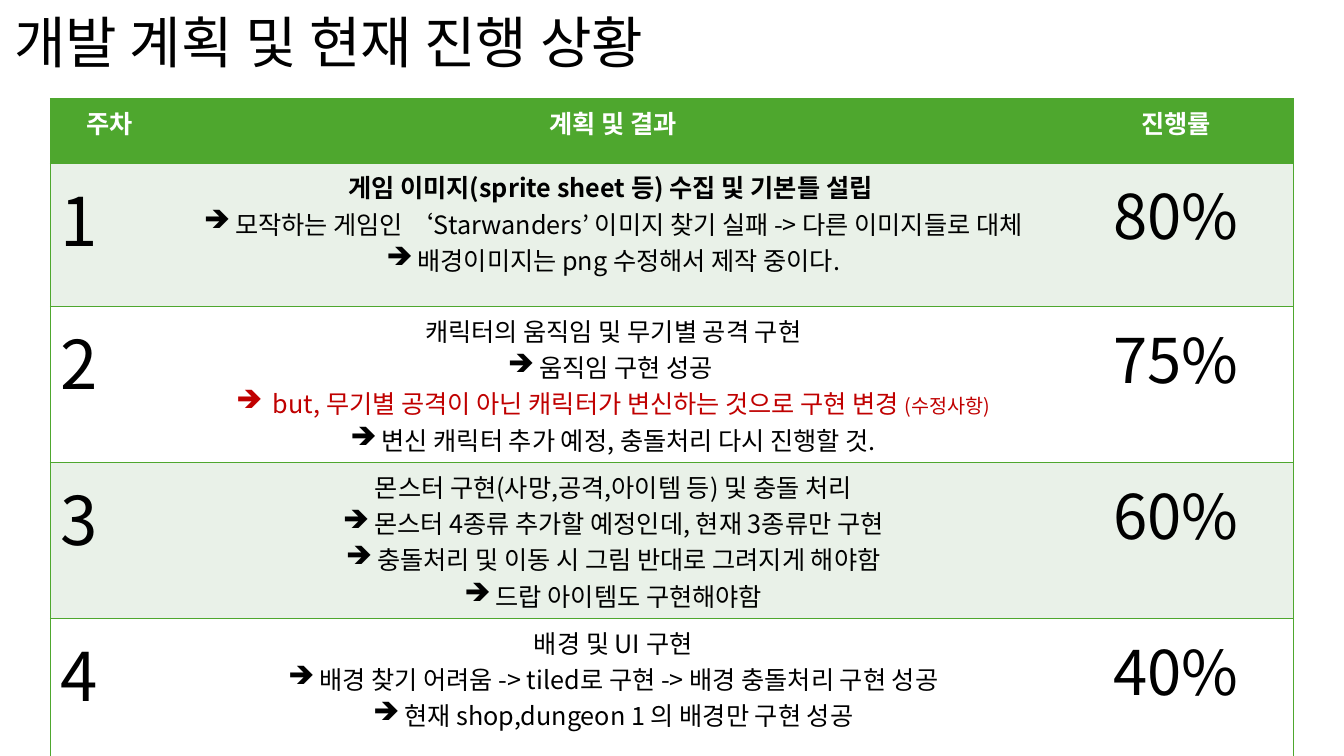
from lxml import etree
from pptx import Presentation
from pptx.dml.color import RGBColor
from pptx.enum.text import MSO_ANCHOR, PP_ALIGN
from pptx.oxml.ns import qn
from pptx.util import Inches, Pt

LEFT, CENTER, JUSTIFY = PP_ALIGN.LEFT, PP_ALIGN.CENTER, PP_ALIGN.JUSTIFY
MIDDLE = MSO_ANCHOR.MIDDLE
COLORS = {"black": "000000", "white": "FFFFFF", "green": "4EA72E", "band": "E9F1E8", "red": "C00000"}
FONT = "Noto Sans CJK KR"
GRID_COLUMNS, GRID_ROWS = 80, 45

HEADERS = ["주차", "계획 및 결과", "진행률"]
WEEKS = [
    (["게임 이미지(sprite sheet 등) 수집 및 기본틀 설립 ",
      "모작하는 게임인 ‘Starwanders’ 이미지 찾기 실패 -> 다른 이미지들로 대체",
      "배경이미지는 png 수정해서 제작 중이다."], "80%"),
    (["캐릭터의 움직임 및 무기별 공격 구현",
      "움직임 구현 성공 ",
      [(" but, 무기별 공격이 아닌 캐릭터가 변신하는 것으로 구현 변경 ", 18), ("(수정사항)", 14)],
      "변신 캐릭터 추가 예정, 충돌처리 다시 진행할 것."], "75%"),
    (["몬스터 구현(사망,공격,아이템 등) 및 충돌 처리",
      "몬스터 4종류 추가할 예정인데, 현재 3종류만 구현",
      "충돌처리 및 이동 시 그림 반대로 그려지게 해야함",
      "드랍 아이템도 구현해야함"], "60%"),
    (["배경 및 UI 구현",
      "배경 찾기 어려움 -> tiled로 구현 -> 배경 충돌처리 구현 성공",
      "현재 shop,dungeon 1 의 배경만 구현 성공"], "40%"),
]


class PlanSlide:
    """Holds the slide, its grid and its text and table style."""

    def __init__(self, presentation):
        self.width, self.height = presentation.slide_width, presentation.slide_height
        self.slide = presentation.slides.add_slide(presentation.slide_layouts[5])

    def x(self, columns):
        return round(self.width * columns / GRID_COLUMNS)

    def y(self, rows):
        return round(self.height * rows / GRID_ROWS)

    def add_run(self, paragraph, text, size, color="black", bold=False):
        run = paragraph.add_run()
        run.text = text
        run.font.size = Pt(size)
        run.font.bold = bold
        run.font.color.rgb = RGBColor.from_string(COLORS[color])
        run.font.name = FONT
        latin = run.font._element.find(qn("a:latin"))
        east_asian = etree.Element(qn("a:ea"), typeface=FONT)
        latin.addnext(east_asian)

    def add_bullet(self, paragraph):
        properties = paragraph._p.get_or_add_pPr()
        indent = Inches(0.31)
        properties.set("marL", str(indent))
        properties.set("indent", str(-indent))
        etree.SubElement(properties, qn("a:buChar"), char="➔")

    def add_title(self, text, left, top, width, height):
        title = self.slide.shapes.title
        title.left, title.top = self.x(left), self.y(top)
        title.width, title.height = self.x(width), self.y(height)
        title.text_frame.vertical_anchor = MIDDLE
        title.text_frame.word_wrap = True
        paragraph = title.text_frame.paragraphs[0]
        paragraph.alignment = LEFT
        paragraph.line_spacing = 0.9
        self.add_run(paragraph, text, 40)

    def add_table(self, left, top, columns, rows):
        frame = self.slide.shapes.add_table(
            len(rows), len(columns), self.x(left), self.y(top), self.x(sum(columns)), self.y(sum(rows)))
        table = frame.table
        table.first_row = table.horz_banding = False
        for column, width in zip(table.columns, columns):
            column.width = self.x(width)
        for row, height in zip(table.rows, rows):
            row.height = self.y(height)
        return table

    def style_cell(self, cell, fill, sides):
        properties = cell._tc.get_or_add_tcPr()
        for side in "LRTB":
            line = etree.SubElement(properties, qn(f"a:ln{side}"), w=str(Pt(1)))
            if side in sides:
                solid = etree.SubElement(line, qn("a:solidFill"))
                etree.SubElement(solid, qn("a:srgbClr"), val=COLORS["green"])
            else:
                etree.SubElement(line, qn("a:noFill"))
        cell.fill.solid()
        cell.fill.fore_color.rgb = RGBColor.from_string(COLORS[fill])

    def write_cell(self, cell, text, size, alignment=CENTER, color="black", bold=False):
        paragraph = cell.text_frame.paragraphs[0]
        paragraph.alignment = alignment
        self.add_run(paragraph, text, size, color, bold)

    def write_results(self, cell, lines, bold):
        self.write_cell(cell, lines[0], 18, bold=bold)
        for line in lines[1:]:
            paragraph = cell.text_frame.add_paragraph()
            paragraph.alignment = CENTER
            self.add_bullet(paragraph)
            if isinstance(line, str):
                self.add_run(paragraph, line, 18)
            else:
                for text, size in line:
                    self.add_run(paragraph, text, size, "red")


def main():
    presentation = Presentation()
    presentation.slide_width, presentation.slide_height = Inches(13.33), Inches(7.5)
    plan = PlanSlide(presentation)
    plan.add_title("개발 계획 및 현재 진행 상황", 0.24, -1.5, 46.14, 8.46)
    table = plan.add_table(3, 5.88, [7, 53, 14], [3.84] + [8.54] * len(WEEKS))

    for row in range(len(WEEKS) + 1):
        fill = "green" if row == 0 else "band" if row % 2 else "white"
        for column, sides in enumerate(["LTB", "TB", "RTB"]):
            plan.style_cell(table.cell(row, column), fill, sides)
    for column, header in enumerate(HEADERS):
        plan.write_cell(table.cell(0, column), header, 18, color="white", bold=True)
    for week, (results, progress) in enumerate(WEEKS, start=1):
        plan.write_cell(table.cell(week, 0), str(week), 48, JUSTIFY)
        plan.write_results(table.cell(week, 1), results, bold=week == 1)
        plan.write_cell(table.cell(week, 2), progress, 44)
    presentation.save("out.pptx")


if __name__ == "__main__":
    main()
